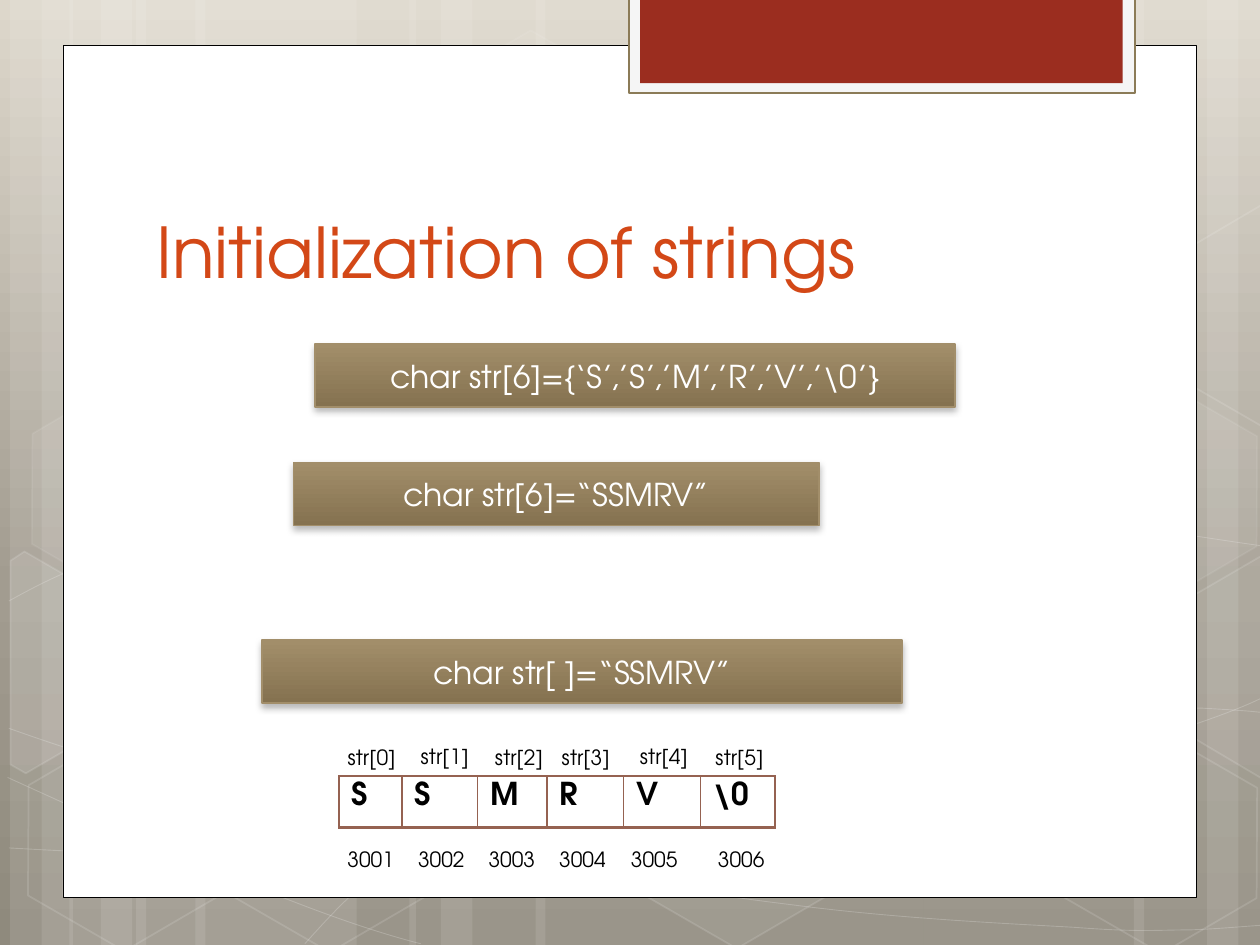
"""Build the slide on initializing C strings."""
from dataclasses import dataclass
from math import cos, radians, sin
from typing import Optional

from pptx import Presentation
from pptx.dml.color import RGBColor
from pptx.enum.shapes import MSO_SHAPE
from pptx.enum.text import MSO_ANCHOR, MSO_AUTO_SIZE, PP_ALIGN
from pptx.oxml.ns import qn
from pptx.util import Pt
from lxml.etree import SubElement

PX = 9144
FONT = "TeX Gyre Adventor"
TILT = 30


@dataclass
class Style:
    fill: Optional[str] = None
    fill_alpha: int = 100
    line: Optional[str] = None
    width: float = 1
    line_alpha: int = 100


@dataclass
class Hexagon:
    x: int
    y: int
    fill_alpha: int
    line_alpha: int


@dataclass
class CutHexagon:
    center: tuple
    points: list
    fill_alpha: int


@dataclass
class Statement:
    x: int
    y: int
    w: int
    text: str


@dataclass
class Element:
    char: str
    col_w: int
    label_x: int
    label_y: int
    address_x: int


STRIPES = [(108, 175), (8, 50), (33, 83), (155, 175), (55, 50), (80, 83),
           (733, 175), (958, 50), (900, 83), (425, 308), (325, 50), (350, 83)]
CURVES = [
    [(7, 673), (61, 676), (115, 679), (190, 678), (265, 677), (358, 675), (458, 665),
     (558, 655), (700, 636), (792, 617), (883, 598), (977, 568), (1007, 551)],
    [(7, 477), (36, 461), (65, 446), (121, 431), (178, 416), (259, 394), (347, 387),
     (436, 380), (544, 379), (654, 387), (764, 395), (947, 426), (1007, 434)],
    [(6, 617), (127, 672), (247, 727), (334, 749)],
    [(7, 578), (38, 589), (70, 600), (128, 616), (186, 631), (273, 656), (357, 673),
     (440, 690), (545, 708), (628, 718), (711, 729), (800, 733), (853, 736),
     (905, 740), (919, 738), (945, 738), (971, 737), (989, 735), (1007, 734)],
    [(242, 749), (260, 729), (278, 709), (302, 691), (326, 673), (360, 653), (388, 639),
     (416, 625), (433, 619), (470, 609), (506, 599), (573, 585), (608, 578),
     (644, 571), (649, 571), (680, 569), (711, 566), (760, 563), (794, 562),
     (829, 561), (886, 562), (886, 562), (908, 562), (931, 562), (953, 562),
     (971, 563), (988, 564), (997, 565), (1006, 566), (1003, 565), (1006, 566)],
]
HEXAGONS = [Hexagon(334, 36, 4, 8), Hexagon(497, 589, 6, 12), Hexagon(11, 591, 0, 12),
            Hexagon(14, 312, 7, 8), Hexagon(174, 592, 0, 12), Hexagon(753, 453, 10, 12),
            Hexagon(834, 593, 0, 12), Hexagon(834, 314, 7, 8)]
CUT_HEXAGONS = [
    CutHexagon((36, 535), [(8, 445), (19, 438), (96, 482), (95, 570), (20, 614), (8, 607)], 10),
    CutHexagon((985, 520), [(926, 485), (1001, 441), (1009, 446), (1009, 613), (1002, 617),
                            (926, 573)], 4),
    CutHexagon((985, 241), [(926, 207), (1001, 163), (1010, 168), (1009, 335), (1002, 339),
                            (926, 295)], 0),
]
STATEMENTS = [Statement(250, 273, 508, "char str[6]={‘S’,’S’,’M’,’R’,’V’,’\\0’}"),
              Statement(233, 367, 417, "char str[6]=“SSMRV”"),
              Statement(208, 508, 508, "char str[ ]=“SSMRV”")]
ELEMENTS = [Element("S", 50, 266, 586, 266), Element("S", 60, 324, 585, 322),
            Element("M", 55, 383, 586, 378), Element("R", 61, 436, 586, 434),
            Element("V", 61, 498, 585, 491), Element("\\0", 59, 558, 586, 560)]


def rgb(color: str) -> RGBColor:
    return RGBColor.from_string(color)


def px(*values: int) -> list:
    return [v * PX for v in values]


def paint(fill, color: Optional[str]) -> None:
    if color is None:
        fill.background()
    else:
        fill.solid()
        fill.fore_color.rgb = rgb(color)


def set_alpha(parent, percent: int) -> None:
    clr = parent.find(qn("a:solidFill") + "/" + qn("a:srgbClr"))
    if clr is not None and percent < 100:
        SubElement(clr, qn("a:alpha"), val=str(percent * 1000))


def dress(sp, style: Style) -> None:
    sp.shadow.inherit = False
    paint(sp.fill, style.fill)
    paint(sp.line.fill, style.line)
    sp.line.width = Pt(style.width)
    set_alpha(sp.element.spPr, style.fill_alpha)
    set_alpha(sp.element.spPr.find(qn("a:ln")), style.line_alpha)


def gradient(fill, owner, stops: list) -> None:
    fill.gradient()
    fill.gradient_angle = 270
    gs_list = next(owner.iter(qn("a:gsLst")))
    for gs in list(gs_list):
        gs_list.remove(gs)
    for pos, color in stops:
        gs = SubElement(gs_list, qn("a:gs"), pos=str(pos * 1000))
        SubElement(gs, qn("a:srgbClr"), val=color)


def add_block(s, kind, box: tuple, style: Style):
    sp = s.shapes.add_shape(kind, *px(*box))
    dress(sp, style)
    return sp


def add_outline(s, points: list, close: bool, style: Style):
    fb = s.shapes.build_freeform(*points[0], scale=PX)
    fb.add_line_segments(points[1:], close=close)
    sp = fb.convert_to_shape()
    dress(sp, style)
    return sp


def add_curve(s, knots: list) -> None:
    sp = add_outline(s, knots, False, Style(line="FFFFFF", width=0.5, line_alpha=20))
    outline = next(sp.element.iter(qn("a:path")))
    lines = outline.findall(qn("a:lnTo"))
    for i in range(0, len(lines), 3):
        bezier = SubElement(outline, qn("a:cubicBezTo"))
        for line in lines[i:i + 3]:
            bezier.append(line[0])
            outline.remove(line)


def add_cut_hexagon(s, h: CutHexagon) -> None:
    c, d, (cx, cy) = cos(radians(TILT)), sin(radians(TILT)), h.center
    upright = [(cx + (x - cx) * c + (y - cy) * d, cy + (y - cy) * c - (x - cx) * d)
               for x, y in h.points]
    fill = "FFFFFF" if h.fill_alpha else None
    add_outline(s, upright, True, Style(fill, h.fill_alpha, "FFFFFF", 1, 12)).rotation = TILT


def write(tf, text: str, size: int, color: str, align=PP_ALIGN.LEFT, bold: bool = False) -> None:
    p = tf.paragraphs[0]
    p.alignment = align
    r = p.add_run()
    r.text = text
    r.font.name, r.font.size, r.font.bold = FONT, Pt(size), bold
    r.font.color.rgb = rgb(color)


def add_backdrop(s) -> None:
    gradient(s.background.fill, s.element, [(0, "DDD7CB"), (62, "A29C90"), (100, "8F8A7D")])
    for x, w in STRIPES:
        add_block(s, MSO_SHAPE.RECTANGLE, (x, 0, w, 750), Style("FFFFFF", 10))
    for knots in CURVES:
        add_curve(s, knots)
    for h in HEXAGONS:
        style = Style("FFFFFF" if h.fill_alpha else None, h.fill_alpha, "FFFFFF", 1, h.line_alpha)
        sp = add_block(s, MSO_SHAPE.HEXAGON, (h.x, h.y, 175, 152), style)
        sp.adjustments[0] = 0.285
        sp.rotation = TILT
    for h in CUT_HEXAGONS:
        add_cut_hexagon(s, h)
    add_block(s, MSO_SHAPE.RECTANGLE, (50, 36, 900, 676), Style("FFFFFF", line="000000", width=0.5))
    add_block(s, MSO_SHAPE.RECTANGLE, (499, -2, 402, 76), Style("F5F5F5", line="8B7B57", width=1.25))
    add_block(s, MSO_SHAPE.RECTANGLE, (508, -2, 383, 68), Style("9B2D1F"))


def add_title(s, text: str) -> None:
    sp = s.shapes.title
    s.shapes.element.append(sp.element)
    sp.left, sp.top, sp.width, sp.height = px(114, 112, 768, 125)
    sp.text_frame.vertical_anchor = MSO_ANCHOR.BOTTOM
    write(sp.text_frame, text, 40, "D34817")


def add_statement(s, st: Statement) -> None:
    sp = add_block(s, MSO_SHAPE.RECTANGLE, (st.x, st.y, st.w, 50), Style(line="A28E6A", width=0.75))
    gradient(sp.fill, sp.element, [(0, "A28E6A"), (100, "857250")])
    shadow = SubElement(sp.element.spPr.find(qn("a:effectLst")), qn("a:outerShdw"),
                        blurRad=str(Pt(4)), dist=str(Pt(2)), dir="5400000", rotWithShape="0")
    SubElement(SubElement(shadow, qn("a:srgbClr"), val="000000"), qn("a:alpha"), val="28000")
    sp.text_frame.vertical_anchor = MSO_ANCHOR.MIDDLE
    write(sp.text_frame, st.text, 18, "FFFFFF", PP_ALIGN.CENTER)


def add_label(s, x: int, y: int, w: int, text: str) -> None:
    tf = s.shapes.add_textbox(*px(x, y, w, 30)).text_frame
    tf.word_wrap = False
    tf.auto_size = MSO_AUTO_SIZE.SHAPE_TO_FIT_TEXT
    write(tf, text, 12, "000000")


def add_memory(s) -> None:
    box = px(269, 616, sum(e.col_w for e in ELEMENTS), 41)
    table = s.shapes.add_table(1, len(ELEMENTS), *box).table
    table.first_row = table.horz_banding = False
    for i, e in enumerate(ELEMENTS):
        table.columns[i].width = e.col_w * PX
        cell = table.cell(0, i)
        write(cell.text_frame, e.char, 18, "000000", bold=True)
        tc_pr = cell._tc.get_or_add_tcPr()
        for side, width in (("L", 1), ("R", 1), ("T", 1), ("B", 2)):
            ln = SubElement(tc_pr, qn("a:ln" + side), w=str(Pt(width)))
            SubElement(SubElement(ln, qn("a:solidFill")), qn("a:srgbClr"), val="956251")
        cell.fill.background()
    for i, e in enumerate(ELEMENTS):
        add_label(s, e.label_x, e.label_y, 59, f"str[{i}]")
    for i, e in enumerate(ELEMENTS):
        add_label(s, e.address_x, 667, 57, str(3001 + i))


def main() -> None:
    prs = Presentation()
    prs.slide_width, prs.slide_height = px(1000, 750)
    s = prs.slides.add_slide(prs.slide_layouts[5])
    add_backdrop(s)
    add_title(s, "Initialization of strings")
    for st in STATEMENTS:
        add_statement(s, st)
    add_memory(s)
    prs.save("out.pptx")


if __name__ == "__main__":
    main()
